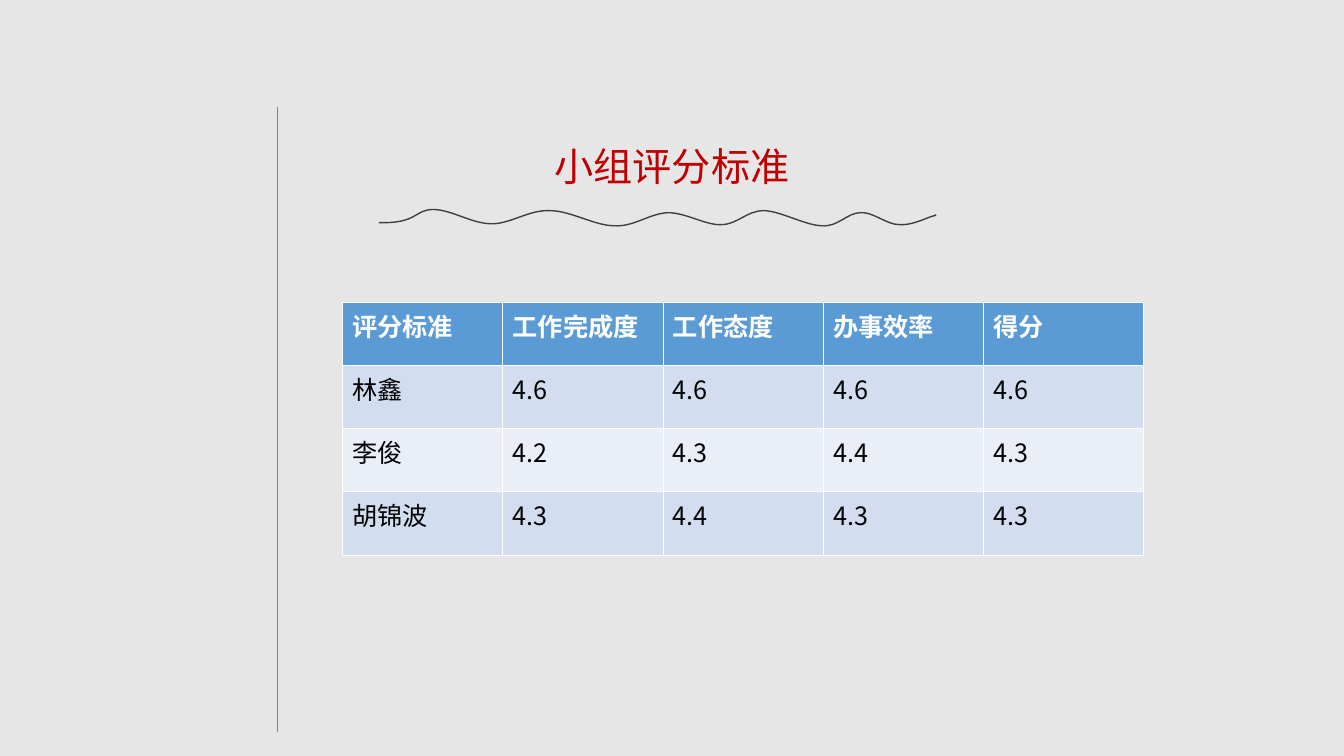
from lxml.etree import SubElement
from pptx import Presentation
from pptx.dml.color import RGBColor
from pptx.enum.shapes import MSO_CONNECTOR
from pptx.enum.text import PP_ALIGN
from pptx.oxml import parse_xml
from pptx.oxml.ns import nsdecls, qn
from pptx.util import Cm, Pt

BACKGROUND = RGBColor(0xE6, 0xE6, 0xE6)
TITLE_RED = RGBColor(0xC0, 0x00, 0x00)
WAVE_GRAY = RGBColor(0x40, 0x40, 0x40)
RULE_ORANGE = RGBColor(0xD6, 0x6E, 0x26)
HEADER_BLUE = RGBColor(0x5B, 0x9B, 0xD5)
BANDS = [RGBColor(0xEA, 0xEF, 0xF7), RGBColor(0xD2, 0xDE, 0xEF)]
WHITE = RGBColor(0xFF, 0xFF, 0xFF)
BLACK = RGBColor(0x00, 0x00, 0x00)

SCORES = [
    ["评分标准", "工作完成度", "工作态度", "办事效率", "得分"],
    ["林鑫", "4.6", "4.6", "4.6", "4.6"],
    ["李俊", "4.2", "4.3", "4.4", "4.3"],
    ["胡锦波", "4.3", "4.4", "4.3", "4.3"],
]
COLUMN_WIDTH, ROW_HEIGHT = Cm(4.04), Cm(1.59)

# Centimetres: the start, then two control points and an end for each curve
WAVE_START = (9.55, 5.61)
WAVE_CURVES = [
    ((10.54, 5.64), (10.44, 5.28), (10.92, 5.28)),
    ((11.38, 5.28), (11.89, 5.64), (12.4, 5.64)),
    ((12.88, 5.64), (13.34, 5.28), (13.87, 5.31)),
    ((14.38, 5.31), (14.99, 5.69), (15.49, 5.69)),
    ((15.98, 5.72), (16.37, 5.38), (16.84, 5.36)),
    ((17.3, 5.36), (17.81, 5.69), (18.19, 5.66)),
    ((18.59, 5.66), (18.82, 5.31), (19.25, 5.31)),
    ((19.66, 5.31), (20.32, 5.69), (20.73, 5.69)),
    ((21.13, 5.72), (21.36, 5.36), (21.69, 5.36)),
    ((22, 5.33), (22.35, 5.66), (22.66, 5.66)),
    ((22.96, 5.69), (23.32, 5.51), (23.47, 5.46)),
    ((23.62, 5.41), (23.6, 5.44), (23.57, 5.41)),
]


def style_paragraph(paragraph, typeface, size, color, bold=False):
    """Set the font for both Latin and East Asian characters."""
    font = paragraph.font
    font.name, font.size, font.bold = typeface, Pt(size), bold
    font.color.rgb = color
    defaults = paragraph._p.pPr.find(qn("a:defRPr"))
    SubElement(defaults, qn("a:ea")).set("typeface", typeface)


def set_borders(cell, widths):
    """Draw white borders; widths are points for left, right, top, bottom."""
    properties = cell._tc.get_or_add_tcPr()
    for index, (side, width) in enumerate(zip("LRTB", widths)):
        properties.insert(index, parse_xml(
            f'<a:ln{side} {nsdecls("a")} w="{Pt(width)}"><a:solidFill>'
            f'<a:srgbClr val="{WHITE}"/></a:solidFill></a:ln{side}>'))


def add_score_table(slide):
    rows, columns = len(SCORES), len(SCORES[0])
    table = slide.shapes.add_table(
        rows, columns, Cm(8.63), Cm(7.62),
        COLUMN_WIDTH * columns, ROW_HEIGHT * rows).table
    for column in table.columns:
        column.width = COLUMN_WIDTH
    for r, scores in enumerate(SCORES):
        header = r == 0
        table.rows[r].height = ROW_HEIGHT
        for c, score in enumerate(scores):
            cell = table.cell(r, c)
            cell.text = score
            style_paragraph(cell.text_frame.paragraphs[0], "Noto Sans CJK KR",
                            18, WHITE if header else BLACK, header)
            cell.fill.solid()
            cell.fill.fore_color.rgb = HEADER_BLUE if header else BANDS[r % 2]
            set_borders(cell, (0.45, 0.45, 1.47 if r == 1 else 0.45,
                               1.47 if header else 0.45))


def add_title(slide):
    frame = slide.shapes.add_textbox(
        Cm(13.27), Cm(3.45), Cm(7.34), Cm(1.45)).text_frame
    frame.word_wrap = True
    title = frame.paragraphs[0]
    title.text = "小组评分标准"
    title.alignment = PP_ALIGN.CENTER
    style_paragraph(title, "Noto Sans CJK SC", 28, TITLE_RED)


def curve_outline(shape):
    """Turn each three line segments of a freeform into one Bézier curve."""
    segments = list(shape._element.iter(qn("a:lnTo")))
    for first in range(0, len(segments), 3):
        curve = SubElement(segments[first].getparent(), qn("a:cubicBezTo"))
        for segment in segments[first:first + 3]:
            curve.append(segment[0])
            segment.getparent().remove(segment)


def add_wave(slide):
    builder = slide.shapes.build_freeform(*map(Cm, WAVE_START))
    builder.add_line_segments(
        [(Cm(x), Cm(y)) for curve in WAVE_CURVES for x, y in curve],
        close=False)
    wave = builder.convert_to_shape()
    curve_outline(wave)
    wave.shadow.inherit = False
    wave.fill.background()
    wave.line.color.rgb = WAVE_GRAY
    wave.line.width = Pt(1)


def add_vertical_rule(slide):
    rule = slide.shapes.add_connector(
        MSO_CONNECTOR.STRAIGHT, Cm(6.99), Cm(2.7), Cm(6.99), Cm(18.44))
    rule.line.color.rgb = RULE_ORANGE
    rule.line.width = Pt(0.75)
    SubElement(rule._element.spPr, qn("a:effectLst"))


def main():
    presentation = Presentation()
    presentation.slide_width = Cm(33.88)
    presentation.slide_height = Cm(19.05)
    slide = presentation.slides.add_slide(presentation.slide_layouts[6])
    slide.background.fill.solid()
    slide.background.fill.fore_color.rgb = BACKGROUND
    add_score_table(slide)
    add_title(slide)
    add_wave(slide)
    add_vertical_rule(slide)
    presentation.save("out.pptx")


if __name__ == "__main__":
    main()
